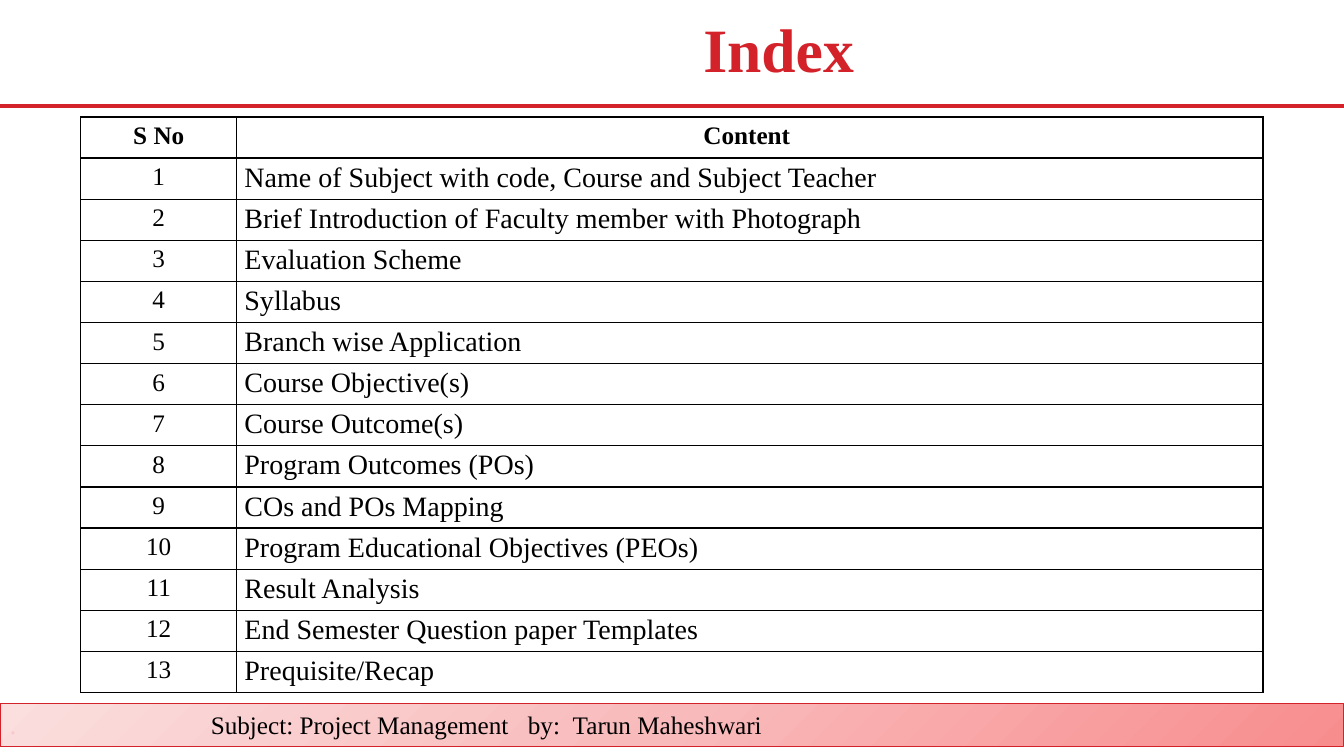
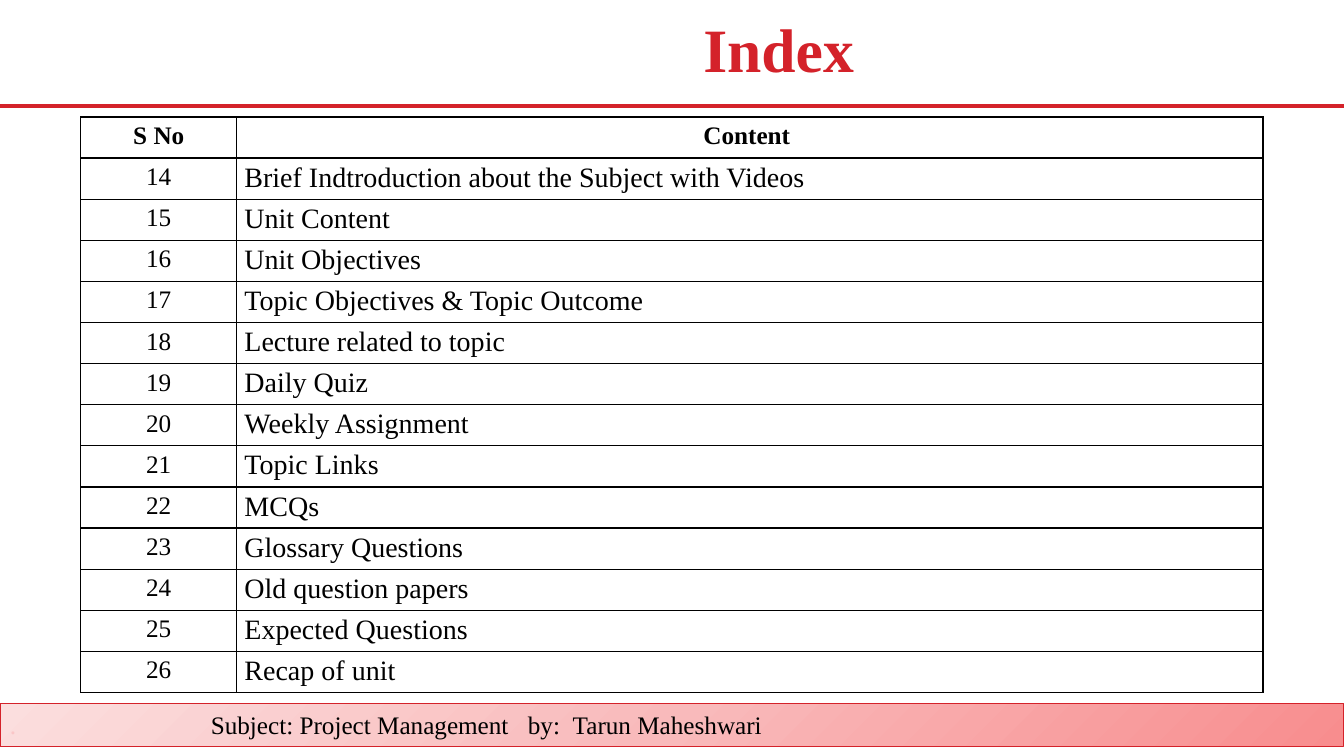
"""Build two index slides that share a title, a rule and a footer band."""
import pptx
import pptx.dml.color
import pptx.enum.shapes
import pptx.enum.text
import pptx.oxml
import pptx.oxml.ns
import pptx.util

Pt = pptx.util.Pt
RGBColor = pptx.dml.color.RGBColor
Align = pptx.enum.text.PP_ALIGN
Anchor = pptx.enum.text.MSO_ANCHOR
qn = pptx.oxml.ns.qn

RED = RGBColor(0xD4, 0x22, 0x2A)
BLACK = RGBColor(0x00, 0x00, 0x00)
DOT_PINK = RGBColor(0xFA, 0xC6, 0xC7)
BAND_DARK = RGBColor(0xF8, 0x8D, 0x8E)
BAND_MIDDLE = RGBColor(0xF9, 0xBA, 0xBB)
BAND_LIGHT = RGBColor(0xFB, 0xDE, 0xDE)

FONT = "Times New Roman"
WIDTH, HEIGHT = 960, 540
NAMESPACE = pptx.oxml.ns.nsdecls("a")
FOOTER_TABS = (143.5, 370, 402)
FOOTER_TEXT = "\tSubject: Project Management\tby:\tTarun Maheshwari"
COLUMN_WIDTHS = (111.6, 733)
ROW_HEIGHT = 29.37

INDEX_PARTS = [
    [
        "Name of Subject with code, Course and Subject Teacher",
        "Brief Introduction of Faculty member with Photograph",
        "Evaluation Scheme",
        "Syllabus",
        "Branch wise Application",
        "Course Objective(s)",
        "Course Outcome(s)",
        "Program Outcomes (POs)",
        "COs and POs Mapping",
        "Program Educational Objectives (PEOs)",
        "Result Analysis",
        "End Semester Question paper Templates",
        "Prequisite/Recap",
    ],
    [
        "Brief Indtroduction about the Subject with Videos",
        "Unit Content",
        "Unit Objectives",
        "Topic Objectives & Topic Outcome",
        "Lecture related to topic",
        "Daily Quiz",
        "Weekly Assignment",
        "Topic Links",
        "MCQs",
        "Glossary Questions",
        "Old question papers",
        "Expected Questions",
        "Recap of unit",
    ],
]


class IndexDeck:
    """Hold the deck style and the current page."""

    def __init__(self):
        self.deck = pptx.Presentation()
        self.deck.slide_width, self.deck.slide_height = Pt(WIDTH), Pt(HEIGHT)
        self.page = None

    def new_page(self):
        self.page = self.deck.slides.add_slide(self.deck.slide_layouts[6])
        self.rule()
        self.footer()

    def add_span(self, para, text, size=18, color=BLACK, bold=False):
        span = para.add_run()
        span.text = text
        span.font.name = FONT
        span.font.size = Pt(size)
        span.font.bold = bold
        span.font.color.rgb = color

    def rule(self):
        rule = self.page.shapes.add_connector(
            pptx.enum.shapes.MSO_CONNECTOR.STRAIGHT, 0, Pt(75.6), Pt(WIDTH), Pt(75.6))
        rule.line.color.rgb = RED
        rule.line.width = Pt(3)
        rule._element.spPr.append(pptx.oxml.parse_xml(f"<a:effectLst {NAMESPACE}/>"))

    def footer(self):
        band = self.page.shapes.add_shape(
            pptx.enum.shapes.MSO_SHAPE.RECTANGLE, 0, Pt(502.5), Pt(WIDTH), Pt(30.5))
        band.shadow.inherit = False
        band.line.color.rgb = RED
        band.line.width = Pt(0.75)
        band.fill.gradient()
        band.fill.gradient_angle = 135
        first, last = band.fill.gradient_stops
        first.color.rgb, first.position = BAND_DARK, 0
        last.color.rgb, last.position = BAND_LIGHT, 1
        stops = band._element.spPr.find(".//" + qn("a:gsLst"))
        stops.insert(1, pptx.oxml.parse_xml(
            f'<a:gs {NAMESPACE} pos="50000"><a:srgbClr val="{BAND_MIDDLE}"/></a:gs>'))
        band.text_frame.vertical_anchor = Anchor.MIDDLE
        para = band.text_frame.paragraphs[0]
        para.alignment = Align.LEFT
        tabs = "".join(f'<a:tab pos="{Pt(stop)}" algn="l"/>' for stop in FOOTER_TABS)
        para._p.get_or_add_pPr().append(
            pptx.oxml.parse_xml(f"<a:tabLst {NAMESPACE}>{tabs}</a:tabLst>"))
        self.add_span(para, ".", color=DOT_PINK)
        self.add_span(para, FOOTER_TEXT)

    def title(self, text):
        box = self.page.shapes.add_textbox(Pt(156.2), Pt(7.2), Pt(800), Pt(60.5))
        box.text_frame.word_wrap = True
        box.text_frame.vertical_anchor = Anchor.MIDDLE
        para = box.text_frame.paragraphs[0]
        para.alignment = Align.CENTER
        para.line_spacing = 0.9
        self.add_span(para, text, 44, RED, True)

    def cell(self, cell, text, size=18, bold=False, centred=True):
        properties = cell._tc.get_or_add_tcPr()
        for side in "LRTB":
            properties.append(pptx.oxml.parse_xml(
                f'<a:ln{side} {NAMESPACE} w="{Pt(1)}"><a:solidFill>'
                f'<a:srgbClr val="{BLACK}"/></a:solidFill></a:ln{side}>'))
        cell.fill.background()
        para = cell.text_frame.paragraphs[0]
        para.alignment = Align.CENTER if centred else Align.LEFT
        if not centred:
            cell.margin_left = cell.margin_right = Pt(5.4)
            cell.margin_top = cell.margin_bottom = Pt(2.9)
        self.add_span(para, text, size, bold=bold)

    def index_table(self, topics, first_number):
        row_count = len(topics) + 1
        table = self.page.shapes.add_table(
            row_count, 2, Pt(57.6), Pt(83.5),
            Pt(sum(COLUMN_WIDTHS)), Pt(ROW_HEIGHT * row_count)).table
        table.first_row = table.horz_banding = False
        for column, width in zip(table.columns, COLUMN_WIDTHS):
            column.width = Pt(width)
        for row in table.rows:
            row.height = Pt(ROW_HEIGHT)
        for column, heading in enumerate(("S No", "Content ")):
            self.cell(table.cell(0, column), heading, bold=True)
        for row, topic in enumerate(topics, 1):
            self.cell(table.cell(row, 0), str(first_number + row - 1))
            self.cell(table.cell(row, 1), topic, size=20, centred=False)


def main():
    index = IndexDeck()
    number = 1
    for topics in INDEX_PARTS:
        index.new_page()
        index.index_table(topics, number)
        index.title("Index")
        number += len(topics)
    index.deck.save("out.pptx")


if __name__ == "__main__":
    main()
